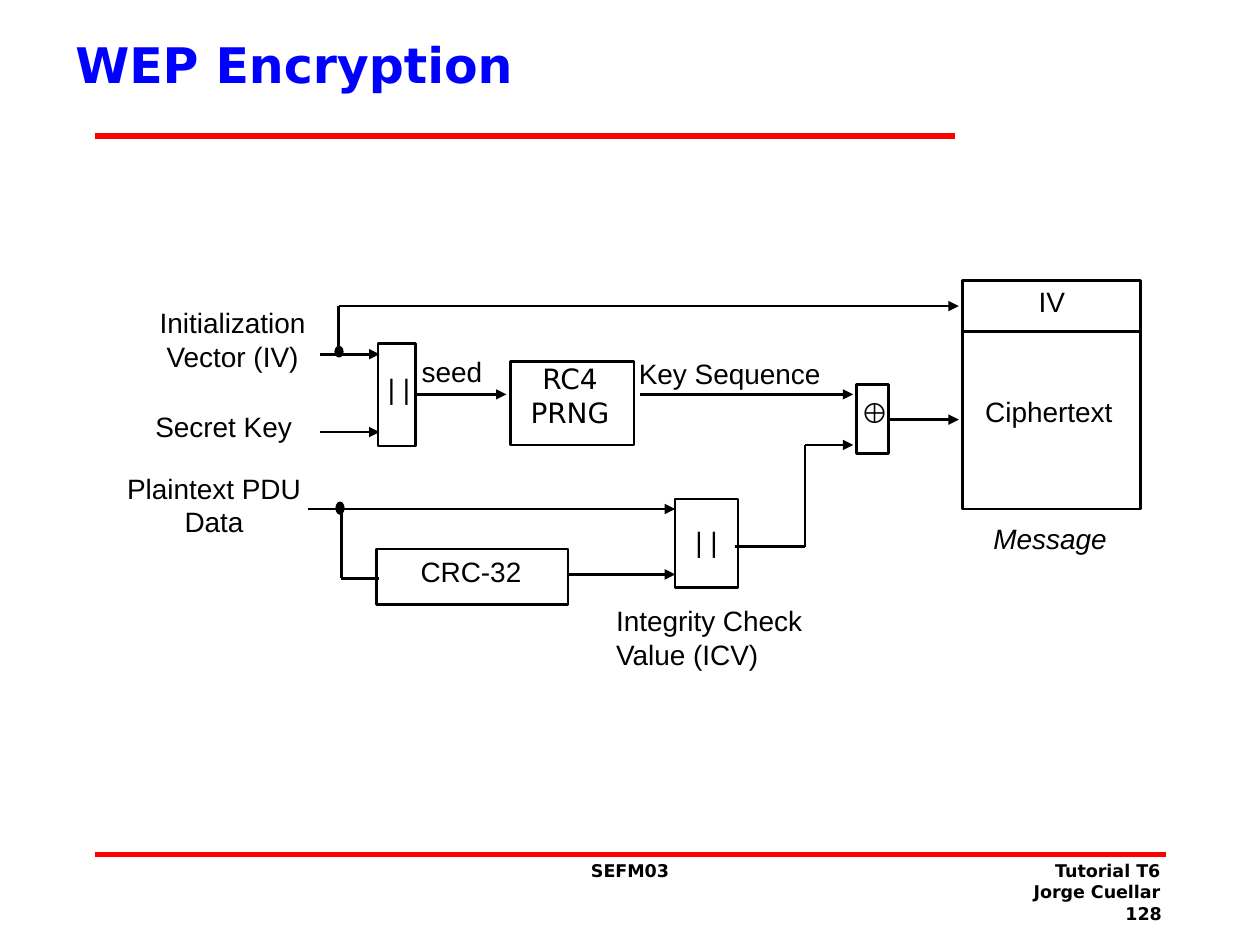
from dataclasses import dataclass
from itertools import pairwise

from lxml import etree
from pptx import Presentation
from pptx import util as u
from pptx.dml.color import RGBColor
from pptx.enum import shapes, text
from pptx.oxml import ns

LEFT, CENTER, RIGHT = text.PP_ALIGN.LEFT, text.PP_ALIGN.CENTER, text.PP_ALIGN.RIGHT


@dataclass(frozen=True)
class Theme:
    ink: RGBColor = RGBColor(0, 0, 0)
    title: RGBColor = RGBColor(0, 0, 255)
    rule: RGBColor = RGBColor(255, 0, 0)
    label_font: str = "Arial"
    frame_font: str = "DejaVu Sans"
    title_size: int = 28
    label_size: int = 16
    footer_size: int = 10
    wire_width: float = 1.5
    rule_width: float = 3
    dot_width: float = 1


def write_text(frame, content, *, font, size, color, bold=False, italic=False, align=LEFT):
    for index, line in enumerate(content.split("\n")):
        paragraph = frame.paragraphs[0] if index == 0 else frame.add_paragraph()
        paragraph.alignment = align
        run = paragraph.add_run()
        run.text = line
        run.font.name, run.font.size = font, u.Pt(size)
        run.font.bold, run.font.italic = bold, italic
        run.font.color.rgb = color


class Diagram:
    def __init__(self, slide, theme):
        self.slide = slide
        self.theme = theme

    def text_box(self, content, area, inset=(0, 0), anchor=text.MSO_ANCHOR.TOP, **style):
        shape = self.slide.shapes.add_textbox(*map(u.Cm, area))
        frame = shape.text_frame
        frame.word_wrap = True
        frame.vertical_anchor = anchor
        frame.margin_left = frame.margin_right = u.Cm(inset[0])
        frame.margin_top = frame.margin_bottom = u.Cm(inset[1])
        write_text(frame, content, **style)

    def label(self, content, area, **style):
        defaults = dict(font=self.theme.label_font, size=self.theme.label_size,
                        color=self.theme.ink, align=CENTER)
        self.text_box(content, area, **(defaults | style))

    def heading(self, content, area):
        self.text_box(content, area, (0.25, 0.13), text.MSO_ANCHOR.MIDDLE, bold=True,
                      font=self.theme.frame_font, size=self.theme.title_size,
                      color=self.theme.title)

    def footer(self, content, area, align):
        self.text_box(content, area, (0.25, 0.13), bold=True, align=align,
                      font=self.theme.frame_font, size=self.theme.footer_size,
                      color=self.theme.ink)

    def outline(self, kind, area, width):
        shape = self.slide.shapes.add_shape(kind, *map(u.Cm, area))
        shape.shadow.inherit = False
        shape.line.color.rgb = self.theme.ink
        shape.line.width = u.Pt(width)
        return shape

    def box(self, *area):
        self.outline(shapes.MSO_SHAPE.RECTANGLE, area, self.theme.wire_width).fill.background()

    def dot(self, *area):
        shape = self.outline(shapes.MSO_SHAPE.OVAL, area, self.theme.dot_width)
        shape.fill.solid()
        shape.fill.fore_color.rgb = self.theme.ink

    def line(self, start, end, color, width):
        connector = self.slide.shapes.add_connector(
            shapes.MSO_CONNECTOR.STRAIGHT, *map(u.Cm, (*start, *end)))
        connector.line.color.rgb = color
        connector.line.width = u.Pt(width)
        etree.SubElement(connector._element.spPr, ns.qn("a:effectLst"))
        return connector

    def rule(self, start, end):
        self.line(start, end, self.theme.rule, self.theme.rule_width)

    def wire(self, *points, arrow=True):
        for start, end in pairwise(points):
            connector = self.line(start, end, self.theme.ink, self.theme.wire_width)
        if arrow:
            outline = connector.line._get_or_add_ln()
            etree.SubElement(outline, ns.qn("a:tailEnd"), type="triangle")


def draw_frame(diagram):
    diagram.rule((1.91, 2.74), (19.25, 2.74))
    diagram.rule((1.91, 17.22), (23.5, 17.22))
    diagram.heading("WEP Encryption", (1.27, 0, 16.99, 2.57))
    diagram.footer("SEFM03", (10.06, 17.2, 5.28, 1.27), CENTER)
    diagram.footer("Tutorial T6\nJorge Cuellar", (18.36, 17.2, 5.28, 1.27), RIGHT)
    diagram.footer("128", (21.64, 18.08, 2.03, 0.64), RIGHT)


def draw_boxes(diagram):
    diagram.box(7.62, 6.93, 0.76, 2.06)
    diagram.box(10.29, 7.29, 2.49, 1.68)
    diagram.box(7.59, 11.07, 3.86, 1.12)
    diagram.box(13.61, 10.06, 1.27, 1.78)
    diagram.box(17.27, 7.75, 0.64, 1.4)
    diagram.box(19.41, 5.66, 3.58, 4.6)


def draw_wires(diagram):
    diagram.wire((6.83, 7.09), (6.83, 6.17), (19.33, 6.17))
    diagram.wire((6.45, 7.14), (7.65, 7.14))
    diagram.wire((6.45, 8.71), (7.65, 8.71))
    diagram.wire((8.41, 7.95), (10.21, 7.95))
    diagram.wire((12.9, 7.95), (17.2, 7.95))
    diagram.wire((6.2, 10.26), (13.61, 10.26))
    diagram.wire((6.88, 10.26), (6.88, 11.66), (7.65, 11.66), arrow=False)
    diagram.wire((11.48, 11.58), (13.61, 11.58))
    diagram.wire((14.81, 11.02), (16.23, 11.02), (16.23, 8.97), (17.2, 8.97))
    diagram.wire((17.91, 8.46), (19.33, 8.46))
    diagram.wire((19.41, 6.68), (22.96, 6.68), arrow=False)
    diagram.dot(6.76, 6.99, 0.15, 0.2)
    diagram.dot(6.78, 10.13, 0.15, 0.23)


def draw_labels(diagram):
    diagram.label("Initialization Vector (IV)", (2.67, 6.17, 4.04, 2.06))
    diagram.label("Secret Key", (2.67, 8.26, 3.68, 1.24))
    diagram.label("Plaintext PDU Data", (2.41, 9.5, 3.81, 1.78))
    diagram.label("seed", (8.13, 7.14, 1.96, 0.56))
    diagram.label("RC4 PRNG", (10.46, 7.29, 2.06, 1.98), font=diagram.theme.frame_font)
    diagram.label("Key Sequence", (12.88, 7.19, 4.8, 0.86), align=LEFT)
    diagram.label("CRC-32", (8.15, 11.18, 2.69, 0.56))
    diagram.label("Integrity Check Value (ICV)", (12.42, 12.17, 4.67, 1.68), align=LEFT)
    diagram.label("| |", (7.82, 7.49, 0.69, 0.94), align=LEFT)
    diagram.label("| |", (14.02, 10.57, 0.76, 0.64), align=LEFT)
    diagram.label("⊕", (17.35, 7.98, 0.76, 0.64), align=LEFT, bold=True)
    diagram.label("IV", (20.62, 5.74, 1.17, 0.79))
    diagram.label("Ciphertext", (19.33, 7.95, 3.63, 0.76))
    diagram.label("Message", (19.61, 10.52, 3.12, 0.53), italic=True)


def main():
    presentation = Presentation()
    presentation.slide_width, presentation.slide_height = u.Cm(25.4), u.Cm(19.05)
    slide = presentation.slides.add_slide(presentation.slide_layouts[6])
    diagram = Diagram(slide, Theme())
    for draw in (draw_frame, draw_boxes, draw_wires, draw_labels):
        draw(diagram)
    presentation.save("out.pptx")


if __name__ == "__main__":
    main()
